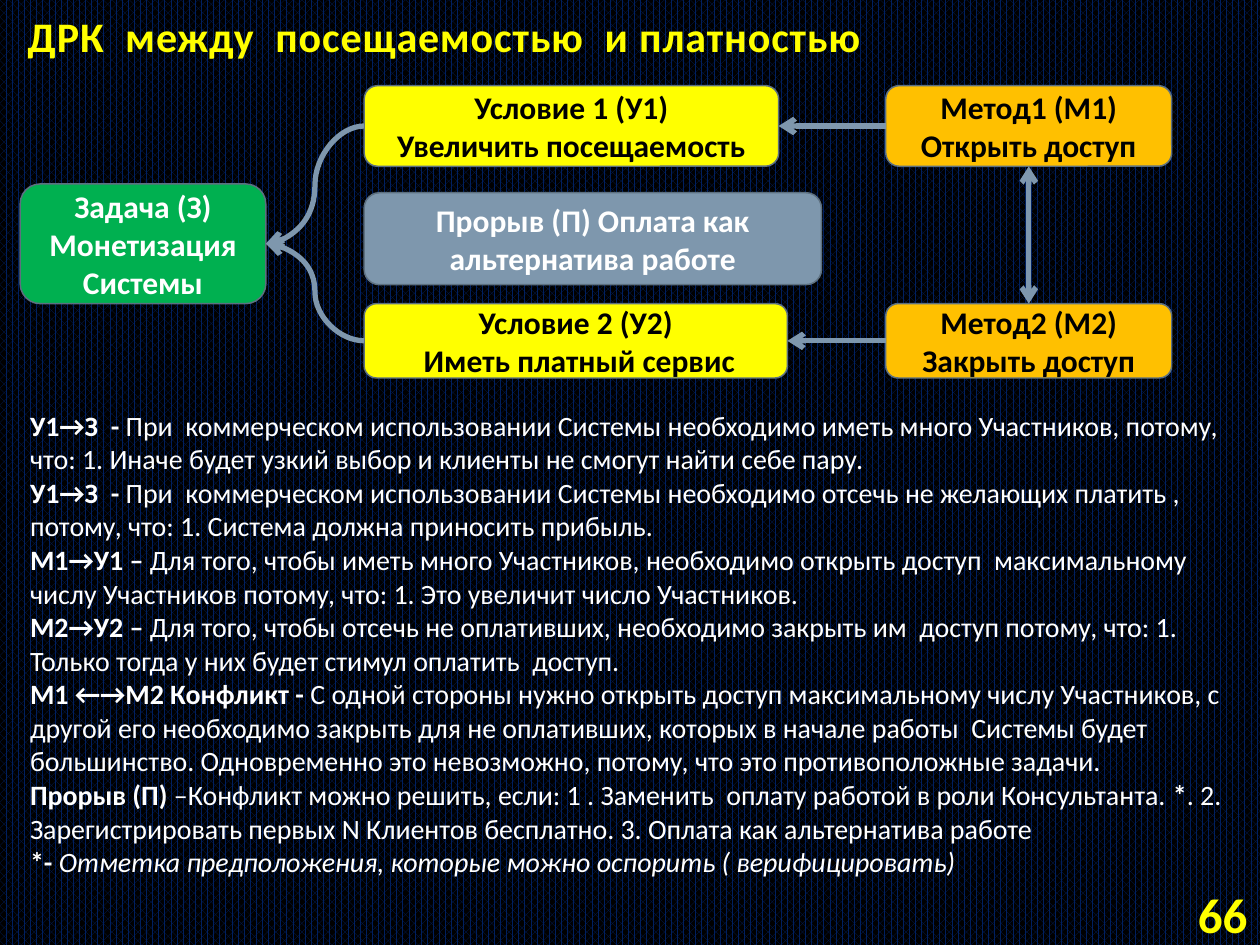
from lxml import etree
from pptx import Presentation
from pptx.dml.color import RGBColor
from pptx.enum import dml, shapes, text
from pptx.oxml.ns import qn
from pptx.util import Inches, Pt

TITLE = "ДРК  между  посещаемостью  и платностью"
PAGE_NUMBER = "66"
WHITE, BLACK, YELLOW = "FFFFFF", "000000", "FFFF00"
ORANGE, GREEN, STEEL, OUTLINE = "FFC000", "00B050", "7E97AD", "5D7080"

BOXES = {
    "task": (["Задача (З)", "Монетизация Системы"], (0.16, 1.46, 1.95, 0.95), GREEN, WHITE),
    "breakthrough": (["Прорыв (П) Оплата как альтернатива работе"], (2.89, 1.53, 3.63, 0.73), STEEL, WHITE),
    "condition 1": (["Условие 1 (У1)", "Увеличить посещаемость"], (2.89, 0.68, 3.29, 0.64), YELLOW, BLACK),
    "condition 2": (["Условие 2 (У2)", " Иметь платный сервис"], (2.89, 2.41, 3.36, 0.59), YELLOW, BLACK),
    "method 1": (["Метод1 (М1)", "Открыть доступ"], (7.03, 0.68, 2.27, 0.64), ORANGE, BLACK),
    "method 2": (["Метод2 (М2)", "Закрыть доступ"], (7.03, 2.41, 2.27, 0.59), ORANGE, BLACK),
}

TOP, LEFT, BOTTOM, RIGHT = range(4)
CURVE, STRAIGHT = shapes.MSO_CONNECTOR.CURVE, shapes.MSO_CONNECTOR.STRAIGHT
ARROWS = [
    ("method 1", LEFT, "condition 1", RIGHT, CURVE, ["tailEnd"]),
    ("method 2", LEFT, "condition 2", RIGHT, CURVE, ["tailEnd"]),
    ("condition 1", LEFT, "task", RIGHT, CURVE, ["tailEnd"]),
    ("condition 2", LEFT, "task", RIGHT, CURVE, ["tailEnd"]),
    ("method 1", BOTTOM, "method 2", TOP, STRAIGHT, ["headEnd", "tailEnd"]),
]

EXPLANATION = [
    [("У1→З  -", "b"), (" При  коммерческом использовании Системы необходимо иметь много Участников, потому, что: 1. Иначе будет узкий выбор и клиенты не смогут найти себе пару.", "")],
    [("У1→З  -", "b"), (" При  коммерческом использовании Системы необходимо отсечь не желающих платить , потому, что: 1. Система должна приносить прибыль.", "")],
    [("M1→У1 –", "b"), (" Для того, чтобы иметь много Участников, необходимо открыть доступ  максимальному числу Участников потому, что: 1. Это увеличит число Участников.", "")],
    [("M2→У2 –", "b"), (" Для того, чтобы отсечь не оплативших, необходимо закрыть им  доступ потому, что: 1. Только тогда у них будет стимул оплатить  доступ.", "")],
    [("М1 ←→М2 Конфликт - ", "b"), ("С одной стороны нужно открыть доступ максимальному числу Участников, с другой его необходимо закрыть для не оплативших, которых в начале работы  Системы будет большинство. Одновременно это невозможно, потому, что это противоположные задачи.", "")],
    [("Прорыв (П) ", "b"), ("–Конфликт можно решить, если: 1 . Заменить  оплату работой в роли Консультанта. ", ""), ("*", "b"), (". 2. Зарегистрировать первых N Клиентов бесплатно. 3. Оплата как альтернатива работе", "")],
    [("*- ", "b"), ("Отметка предположения, которые можно оспорить ( верифицировать)", "i")],
]


def color(value):
    return RGBColor.from_string(value)


def place(values):
    return [Inches(value) for value in values]


def write(shape, paragraphs, size=18, fill=WHITE, align=text.PP_ALIGN.LEFT,
          anchor=text.MSO_ANCHOR.MIDDLE, spacing=None):
    frame = shape.text_frame
    frame.word_wrap = True
    frame.auto_size = text.MSO_AUTO_SIZE.NONE
    frame.vertical_anchor = anchor
    for index, runs in enumerate(paragraphs):
        paragraph = frame.add_paragraph() if index else frame.paragraphs[0]
        paragraph.alignment = align
        for content, style in [(runs, "b")] if isinstance(runs, str) else runs:
            run = paragraph.add_run()
            run.text = content
            font = run.font
            font.name, font.size = "Calibri", Pt(size)
            font.bold, font.italic = "b" in style, "i" in style
            font.color.rgb = color(fill)
            if spacing:
                run._r.get_or_add_rPr().set("spc", str(int(spacing * 100)))


def add_box(slide, lines, position, fill, ink):
    shape = slide.shapes.add_shape(shapes.MSO_SHAPE.ROUNDED_RECTANGLE, *place(position))
    shape.shadow.inherit = False
    shape.fill.solid()
    shape.fill.fore_color.rgb = color(fill)
    shape.line.color.rgb = color(OUTLINE)
    shape.line.width = Pt(0.85)
    write(shape, lines, fill=ink, align=text.PP_ALIGN.CENTER)
    return shape


def add_arrow(slide, start, start_side, end, end_side, kind, heads):
    connector = slide.shapes.add_connector(kind, 0, 0, 0, 0)
    connector.begin_connect(start, start_side)
    connector.end_connect(end, end_side)
    connector.line.color.rgb = color(STEEL)
    connector.line.width = Pt(3)
    line = connector.line._get_or_add_ln()
    for head in heads:
        etree.SubElement(line, qn(f"a:{head}"), type="arrow")
    etree.SubElement(connector._element.spPr, qn("a:effectLst"))


def main():
    presentation = Presentation()
    presentation.slide_width, presentation.slide_height = Inches(10), Inches(7.5)
    slide = presentation.slides.add_slide(presentation.slide_layouts[5])

    background = slide.background.fill
    background.patterned()
    background.pattern = dml.MSO_PATTERN.PERCENT_70
    background.fore_color.rgb = color("002060")
    background.back_color.rgb = color(BLACK)

    title = slide.shapes.title
    title.left, title.top, title.width, title.height = place((0.12, 0.05, 10.1, 0.48))
    write(title, [TITLE], size=24, fill=YELLOW, anchor=text.MSO_ANCHOR.BOTTOM, spacing=0.5)

    boxes = {name: add_box(slide, *box) for name, box in BOXES.items()}
    for start, start_side, end, end_side, kind, heads in ARROWS:
        add_arrow(slide, boxes[start], start_side, boxes[end], end_side, kind, heads)

    explanation = slide.shapes.add_textbox(*place((0.14, 3.19, 9.84, 3.87)))
    write(explanation, EXPLANATION, size=16, anchor=text.MSO_ANCHOR.TOP)

    number = slide.shapes.add_textbox(*place((8.94, 7.05, 1.06, 0.4)))
    write(number, [PAGE_NUMBER], size=28, fill=YELLOW, align=text.PP_ALIGN.RIGHT)

    presentation.save("out.pptx")


if __name__ == "__main__":
    main()
